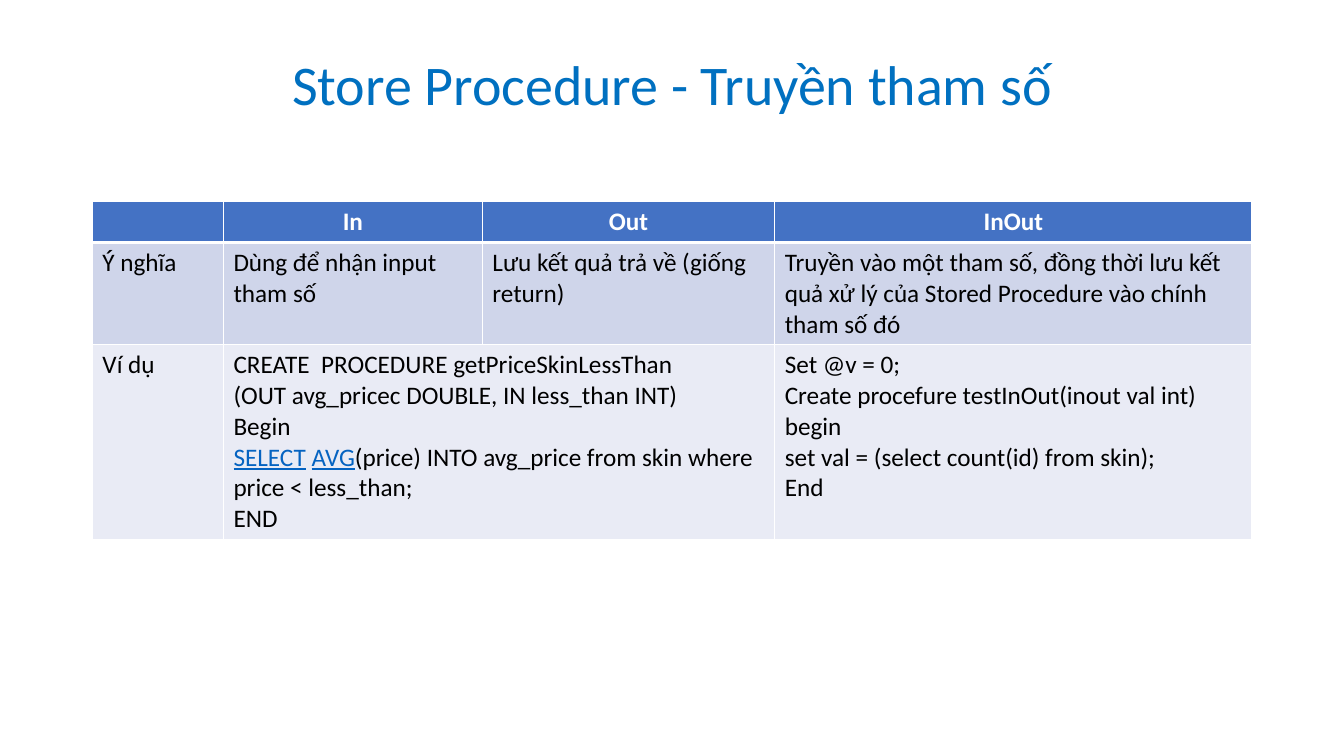
from lxml import etree
from pptx import Presentation
from pptx.dml.color import RGBColor
from pptx.enum import text
from pptx.oxml import ns
from pptx.util import Pt

COLORS = {"title": "0070C0", "header": "4472C4", "meaning": "CFD5EA",
          "example": "E9EBF5", "white": "FFFFFF", "black": "000000",
          "keyword": "0563C1"}
FONT = "Calibri"
KEYWORDS = ("SELECT", "AVG")

TITLE = "Store Procedure - Truyền tham số"
# Each cell is a list of paragraphs; None continues the cell to its left.
ROWS = [
    ("header", 29.2, [[], ["In"], ["Out"], ["InOut"]]),
    ("meaning", 72, [
        ["Ý nghĩa"],
        ["Dùng để nhận input tham số"],
        ["Lưu kết quả trả về (giống return)"],
        ["Truyền vào một tham số, đồng thời lưu kết quả xử lý của "
         "Stored Procedure vào chính tham số đó"]]),
    ("example", 137, [
        ["Ví dụ"],
        ["CREATE\u00a0 PROCEDURE getPriceSkinLessThan",
         "(OUT avg_pricec DOUBLE, IN less_than\u00a0INT) ",
         "Begin\u00a0",
         ["SELECT", "\u00a0", "AVG",
          "(price)\u00a0INTO\u00a0avg_price\u00a0from\u00a0skin\u00a0where"
          "\u00a0price <\u00a0less_than;\u00a0"],
         "END"],
        None,
        ["Set @v = 0;",
         "Create procefure testInOut(inout val int)",
         "begin",
         "set val = (select count(id) from skin);",
         "End"]]),
]
COLUMN_WIDTHS = (93.6, 185, 208.8, 341)
LEFT, WIDTH = 66, 828
TITLE_TOP, TITLE_HEIGHT = 28.8, 67
TABLE_TOP = 144


def write(frame, paragraphs, size=18, color="black", bold=False,
          align=text.PP_ALIGN.LEFT, spacing=None):
    """Fill a text frame; a paragraph is a string or a list of runs."""
    for index, content in enumerate(paragraphs):
        paragraph = frame.add_paragraph() if index else frame.paragraphs[0]
        paragraph.alignment = align
        paragraph.line_spacing = spacing
        for words in [content] if isinstance(content, str) else content:
            run = paragraph.add_run()
            run.text = words
            font = run.font
            font.name, font.size, font.bold = FONT, Pt(size), bold
            is_keyword = words in KEYWORDS
            font.underline = is_keyword
            font.color.rgb = RGBColor.from_string(
                COLORS["keyword" if is_keyword else color])


def set_borders(cell, bottom=1, top=1):
    """Draw white lines on the four sides of a cell."""
    properties = cell._tc.get_or_add_tcPr()
    sides = (("lnL", 1), ("lnR", 1), ("lnT", top), ("lnB", bottom))
    for position, (side, weight) in enumerate(sides):
        line = etree.Element(ns.qn(f"a:{side}"), w=str(Pt(weight)))
        fill = etree.SubElement(line, ns.qn("a:solidFill"))
        etree.SubElement(fill, ns.qn("a:srgbClr"), val=COLORS["white"])
        properties.insert(position, line)


def add_title(slide):
    """Place and format the slide title."""
    title = slide.shapes.title
    title.left, title.top = Pt(LEFT), Pt(TITLE_TOP)
    title.width, title.height = Pt(WIDTH), Pt(TITLE_HEIGHT)
    frame = title.text_frame
    frame.auto_size = text.MSO_AUTO_SIZE.NONE
    frame.vertical_anchor = text.MSO_ANCHOR.MIDDLE
    write(frame, [TITLE], size=40, color="title",
          align=text.PP_ALIGN.CENTER, spacing=0.9)


def add_parameter_table(slide):
    """Build the table that compares the parameter modes."""
    height = sum(row_height for _, row_height, _ in ROWS)
    table = slide.shapes.add_table(
        len(ROWS), len(COLUMN_WIDTHS),
        Pt(LEFT), Pt(TABLE_TOP), Pt(WIDTH), Pt(height)).table
    for column, width in zip(table.columns, COLUMN_WIDTHS):
        column.width = Pt(width)
    for r, (kind, row_height, contents) in enumerate(ROWS):
        table.rows[r].height = Pt(row_height)
        is_header = kind == "header"
        for c, paragraphs in enumerate(contents):
            cell = table.cell(r, c)
            cell.fill.solid()
            cell.fill.fore_color.rgb = RGBColor.from_string(COLORS[kind])
            set_borders(cell, bottom=3 if is_header else 1,
                        top=3 if r == 1 else 1)
            if paragraphs is None:
                table.cell(r, c - 1).merge(cell)
            elif is_header:
                write(cell.text_frame, paragraphs, color="white", bold=True,
                      align=text.PP_ALIGN.CENTER)
            else:
                write(cell.text_frame, paragraphs)


deck = Presentation()
deck.slide_width, deck.slide_height = Pt(960), Pt(540)
slide = deck.slides.add_slide(deck.slide_layouts[5])
add_parameter_table(slide)
add_title(slide)
deck.save("out.pptx")
